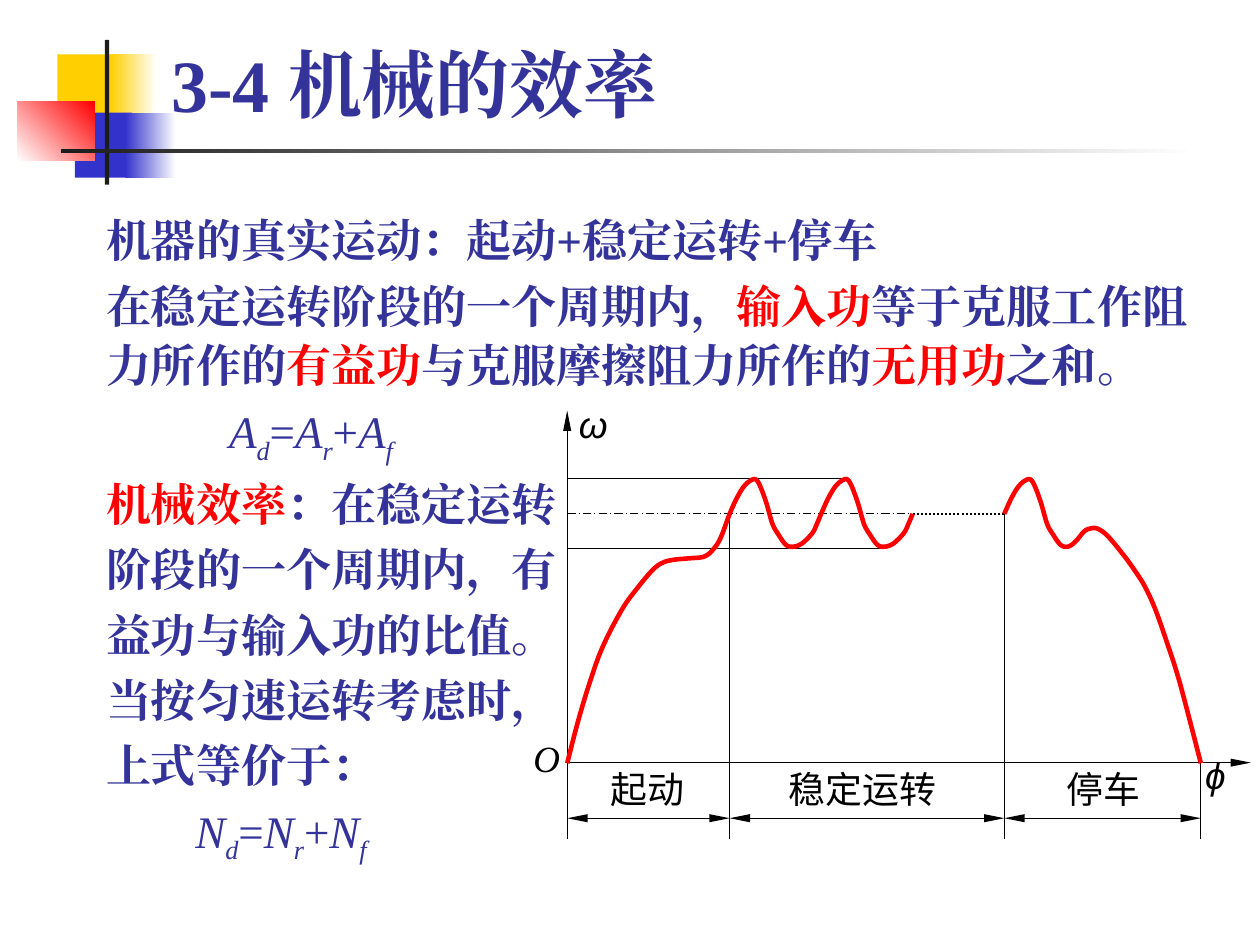
from lxml import etree
from pptx import Presentation
from pptx.dml.color import RGBColor
from pptx.enum.dml import MSO_LINE
from pptx.enum.shapes import MSO_CONNECTOR, MSO_SHAPE
from pptx.enum.text import MSO_ANCHOR
from pptx.oxml.ns import qn
from pptx.util import Pt

RECTANGLE = MSO_SHAPE.RECTANGLE
STRAIGHT = MSO_CONNECTOR.STRAIGHT
BOTTOM, TOP = MSO_ANCHOR.BOTTOM, MSO_ANCHOR.TOP
DOTTED, DASH_DOT = MSO_LINE.ROUND_DOT, MSO_LINE.LONG_DASH_DOT
SERIF, SANS, CHINESE = "Times New Roman", "Arial", "Noto Sans CJK SC"
NAVY, RED, BLACK, WHITE = "333399", "FF0000", "000000", "FFFFFF"
YELLOW, BLUE, CHARCOAL = "FFCF01", "3333CC", "1C1C1C"

AXIS_X, START_END, STEADY_END, STOP_END = 276.5, 355.7, 489.6, 585.4
AXIS_Y, MEAN_Y, PERIOD = 371.9, 250.6, 44.6

START_CURVE = [
    (276.5, 372.2), (281.5, 352.8), (287.3, 333.4), (293.8, 315.4), (303.1, 297.4),
    (310.3, 287.3), (318.2, 277.9), (323.3, 274.3), (329, 272.9), (337, 272.2),
    (343.4, 271.4), (347.8, 267.8), (351.4, 262.1)]
CYCLE = [
    (0, 0), (3.6, -7.9), (7.2, -13.7), (10.8, -16.6), (13, -16.6), (15.1, -13),
    (18, -5), (20.9, 5), (23.8, 10.1), (27.4, 15.1), (31, 16), (35.3, 14.4),
    (40.3, 9.4), (42.5, 5)]
STOP_CURVE = [
    (524.2, 264.2), (528.5, 259.2), (531.4, 257.8), (535, 257.8), (540, 261.4),
    (547.2, 270), (553, 277.9), (558, 285.8), (563, 296.6), (568.1, 311),
    (573.8, 328.3), (578.9, 347), (585.4, 372.2)]


def color(value):
    """Turn a hex string into a colour."""
    return RGBColor.from_string(value)


def add_block(page, left, top, width, height, first, last=None, angle=0):
    """Add a plain rectangle, or a gradient one when a last colour is given."""
    block = page.shapes.add_shape(RECTANGLE, Pt(left), Pt(top), Pt(width), Pt(height))
    block.shadow.inherit = False
    block.line.fill.background()
    if last is None:
        block.fill.solid()
        block.fill.fore_color.rgb = color(first)
        return
    block.fill.gradient()
    block.fill.gradient_angle = angle
    for stop, value in zip(block.fill.gradient_stops, (first, last)):
        stop.color.rgb = color(value)


def add_box(page, left, top, width, height, margins=(0, 0), anchor=TOP, wrap=True):
    """Add an empty text box and return it."""
    box = page.shapes.add_textbox(Pt(left), Pt(top), Pt(width), Pt(height))
    frame = box.text_frame
    frame.word_wrap = wrap
    frame.vertical_anchor = anchor
    frame.margin_left = frame.margin_right = Pt(margins[0])
    frame.margin_top = frame.margin_bottom = Pt(margins[1])
    return box


def style(span, size, font, value, bold=False, italic=False, subscript=False):
    """Format one run."""
    span.font.size = Pt(size)
    span.font.bold = bold
    span.font.italic = italic
    span.font.color.rgb = color(value)
    span.font.name = font
    properties = span._r.get_or_add_rPr()
    etree.SubElement(properties, qn("a:ea")).set("typeface", font)
    if subscript:
        properties.set("baseline", "-25000")


def add_label(page, left, top, width, text, font, italic=False):
    """Add a one-line diagram label."""
    box = add_box(page, left, top, width, 28, wrap=False)
    box.text_frame.text = text
    style(box.text_frame.paragraphs[0].runs[0], 18, font, BLACK, italic=italic)


def add_line(page, start, end, dash=None, width=0.5, arrows=()):
    """Add a straight black line with optional arrowheads."""
    line = page.shapes.add_connector(STRAIGHT, *(Pt(v) for v in (*start, *end)))
    line.line.color.rgb = color(BLACK)
    line.line.width = Pt(width)
    if dash is not None:
        line.line.dash_style = dash
    for name in arrows:
        arrow = etree.SubElement(line.line._get_or_add_ln(), qn(f"a:{name}"))
        for key, value in (("type", "triangle"), ("w", "sm"), ("len", "lg")):
            arrow.set(key, value)
    etree.SubElement(line._element.spPr, qn("a:effectLst"))


def smooth(points, steps=4):
    """Return a Catmull-Rom curve through the points."""
    padded = [points[0], *points, points[-1]]
    curve = [points[0]]
    for a, b, c, d in zip(padded, padded[1:], padded[2:], padded[3:]):
        for step in range(1, steps + 1):
            t = step / steps
            curve.append(tuple(
                q + t / 2 * (r - p + t * (2 * p - 5 * q + 4 * r - s + t * (3 * q - p - 3 * r + s)))
                for p, q, r, s in zip(a, b, c, d)))
    return curve


def add_curve(page, points):
    """Add a smooth red speed curve."""
    first, *rest = [(Pt(x), Pt(y)) for x, y in smooth(points)]
    builder = page.shapes.build_freeform(*first)
    builder.add_line_segments(rest, close=False)
    curve = builder.convert_to_shape()
    curve.shadow.inherit = False
    curve.fill.background()
    curve.line.color.rgb = color(RED)
    curve.line.width = Pt(2.25)


def cycle_from(x):
    """Return one speed cycle that begins at x."""
    return [(x + dx, MEAN_Y + dy) for dx, dy in CYCLE]


def formula(symbol):
    """Return the spans of the balance X_d = X_r + X_f."""
    variable, sub = {"italic": True}, {"italic": True, "subscript": True}
    return [(symbol, variable), ("d", sub), ("=", {}), (symbol, variable), ("r", sub),
            ("+", {}), (symbol, variable), ("f", sub)]


def add_body(page):
    """Add the explanation and its two formulas."""
    plain, red = {"bold": True}, {"bold": True, "value": RED}
    content = [
        (0, [("机器的真实运动：起动+稳定运转+停车", plain)]),
        (0, [("在稳定运转阶段的一个周期内，", plain), ("输入功", red),
             ("等于克服工作阻力所作的", plain), ("有益功", red),
             ("与克服摩擦阻力所作的", plain), ("无用功", red), ("之和。", plain)]),
        (60, formula("A")),
        (0, [("机械效率", red), ("：在稳定运转", plain)]),
        (0, [("阶段的一个周期内，有", plain)]),
        (0, [("益功与输入功的比值。", plain)]),
        (0, [("当按匀速运转考虑时，", plain)]),
        (0, [("上式等价于：", plain)]),
        (43.5, formula("N")),
    ]
    frame = add_box(page, 45.2, 98, 554.5, 340.5, (6.5, 3.2)).text_frame
    for index, (indent, spans) in enumerate(content):
        para = frame.add_paragraph() if index else frame.paragraphs[0]
        para.line_spacing = 1.1
        para.space_before = Pt(2.8 if index else 0)
        para._p.get_or_add_pPr().set("marL", str(Pt(indent)))
        for text, look in spans:
            span = para.add_run()
            span.text = text
            style(span, 22, SERIF, **{"value": NAVY, **look})


def add_header(page):
    """Add the coloured blocks, the rule and the title."""
    add_block(page, 28, 26.5, 29.5, 31.7, YELLOW)
    add_block(page, 54, 26.5, 22.3, 31.7, YELLOW, WHITE)
    add_block(page, 36.5, 55, 28, 31.7, BLUE)
    add_block(page, 61.2, 55, 24.5, 31.7, BLUE, WHITE)
    add_block(page, 8.5, 49.7, 37.8, 28.5, WHITE, RED, angle=45)
    add_block(page, 51.2, 19.5, 2.1, 70.5, CHARCOAL)
    add_block(page, 29.8, 72.6, 553, 2.1, CHARCOAL, WHITE)
    box = add_box(page, 77, 15.8, 523.5, 49.7, (6.5, 3.2), BOTTOM)
    box.text_frame.text = "3-4 机械的效率"
    style(box.text_frame.paragraphs[0].runs[0], 36, SERIF, NAVY, bold=True)


def add_diagram(page):
    """Add the speed diagram with its axes, phases and curves."""
    add_line(page, (AXIS_X, AXIS_Y), (609.8, AXIS_Y), arrows=("tailEnd",))
    add_line(page, (AXIS_X, AXIS_Y), (AXIS_X, 200.2), arrows=("tailEnd",))
    bounds = (AXIS_X, START_END, STEADY_END, STOP_END)
    for x, top in zip(bounds, (AXIS_Y, MEAN_Y, MEAN_Y, AXIS_Y)):
        add_line(page, (x, top), (x, 409))
    for left, right in zip(bounds, bounds[1:]):
        add_line(page, (left, 399), (right, 399), arrows=("headEnd", "tailEnd"))
    steady_x = START_END + 2 * PERIOD
    add_line(page, (AXIS_X, MEAN_Y), (steady_x, MEAN_Y), DASH_DOT)
    add_line(page, (steady_x, MEAN_Y), (STEADY_END, MEAN_Y), DOTTED, 1)
    add_line(page, (AXIS_X, 233.5), (412.5, 233.5))
    add_line(page, (AXIS_X, 267.5), (431.3, 267.5))
    add_curve(page, START_CURVE + cycle_from(START_END)
              + cycle_from(START_END + PERIOD) + [(steady_x, MEAN_Y)])
    add_curve(page, cycle_from(STEADY_END)[:11] + STOP_CURVE)
    add_label(page, 587.5, 367.2, 18.7, "ϕ", SANS, italic=True)
    add_label(page, 282.2, 195.8, 18.7, "ω", SANS, italic=True)
    add_label(page, 260, 358.5, 18.7, "O", SERIF, italic=True)
    for left, width, text in ((297.4, 42.5, "起动"), (384.5, 85.7, "稳定运转"),
                              (519.8, 42.5, "停车")):
        add_label(page, left, 373.7, width, text, CHINESE)


def main():
    """Build the slide and save it."""
    deck = Presentation()
    deck.slide_width, deck.slide_height = Pt(614.2), Pt(460.8)
    page = deck.slides.add_slide(deck.slide_layouts[6])
    add_header(page)
    add_body(page)
    add_diagram(page)
    deck.save("out.pptx")


if __name__ == "__main__":
    main()
